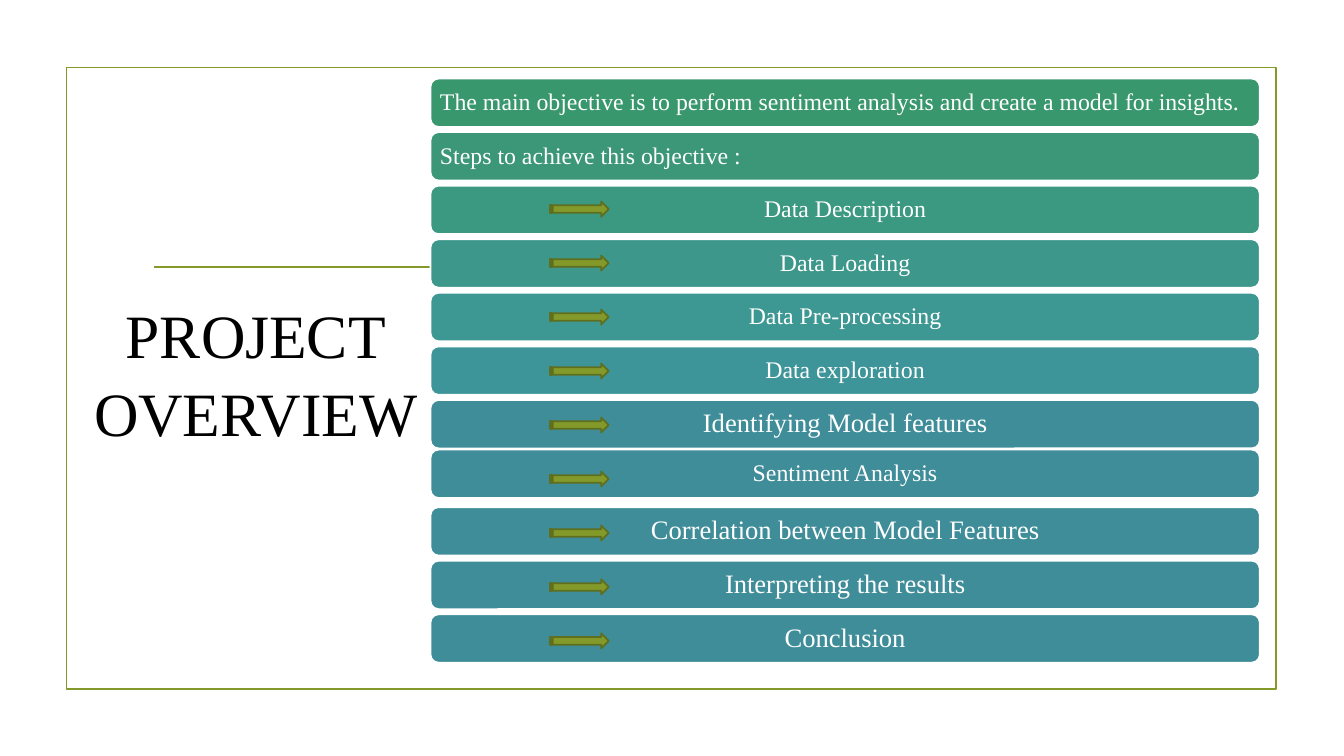
from pptx import Presentation
from pptx.dml.color import RGBColor
from pptx.enum.shapes import MSO_CONNECTOR, MSO_SHAPE
from pptx.enum.text import MSO_ANCHOR, MSO_AUTO_SIZE, PP_ALIGN
from pptx.oxml.ns import qn
from pptx.util import Cm, Pt
from lxml.etree import SubElement

FONT = "Times New Roman"
OLIVE = "83992A"
TEAL = "3F8D99"


def color(value):
    return RGBColor.from_string(value)


def add_outlined(preset, left, top, width, height, fill, line):
    """Add a shadowless shape, lengths in cm; fill None leaves it hollow."""
    shape = slide.shapes.add_shape(preset, Cm(left), Cm(top), Cm(width), Cm(height))
    shape.shadow.inherit = False
    if fill:
        shape.fill.solid()
        shape.fill.fore_color.rgb = color(fill)
    else:
        shape.fill.background()
    shape.line.color.rgb = color(line)
    shape.line.width = Pt(1.25)
    return shape


prs = Presentation()
prs.slide_width, prs.slide_height = Cm(33.87), Cm(19.05)
slide = prs.slides.add_slide(prs.slide_layouts[5])

# Frame and divider
add_outlined(MSO_SHAPE.RECTANGLE, 1.68, 1.7, 30.48, 15.67, None, OLIVE)
divider = slide.shapes.add_connector(
    MSO_CONNECTOR.STRAIGHT, Cm(3.89), Cm(6.73), Cm(30), Cm(6.73))
divider.line.color.rgb = color(OLIVE)
divider.line.width = Pt(1.25)
SubElement(divider._element.spPr, qn("a:effectLst"))

# Title
title = slide.shapes.title
title.left, title.top, title.width, title.height = Cm(1.7), Cm(2.69), Cm(9.5), Cm(13.31)
heading = title.text_frame
heading.text = "PROJECT\nOVERVIEW"
heading.auto_size = MSO_AUTO_SIZE.NONE
heading.word_wrap = True
heading.vertical_anchor = MSO_ANCHOR.MIDDLE
for paragraph in heading.paragraphs:
    paragraph.alignment = PP_ALIGN.CENTER
    paragraph.line_spacing = 1.05
    paragraph.font.name = FONT
    paragraph.font.size = Pt(44)
    paragraph.font.color.rgb = color("000000")

# Bars: text, fill, text size, shift from the even rhythm in cm
LEFT, CENTER = PP_ALIGN.LEFT, PP_ALIGN.CENTER
steps = [
    ("The main objective is to perform sentiment analysis and create a model for insights.",
     "39976D", 17, LEFT, 0),
    ("Steps to achieve this objective :", "3B9777", 17, LEFT, 0),
    ("Data Description", "3B9881", 17, CENTER, 0),
    ("Data Loading", "3D978A", 17, CENTER, 0),
    ("Data Pre-processing", "3D9893", 17, CENTER, 0),
    ("Data exploration", "3E9599", 17, CENTER, 0),
    ("Identifying Model features", TEAL, 19, CENTER, 0),
    ("Sentiment Analysis", TEAL, 17, CENTER, -0.1),
    ("Correlation between Model Features", TEAL, 19, CENTER, 0),
    ("Interpreting the results", TEAL, 19, CENTER, 0),
    ("Conclusion", TEAL, 19, CENTER, 0),
]
for row, (text, fill, size, alignment, shift) in enumerate(steps):
    bar = add_outlined(MSO_SHAPE.ROUNDED_RECTANGLE,
                       10.85, 1.98 + 1.35 * row + shift, 20.9, 1.22, fill, "FFFFFF")
    frame = bar.text_frame
    frame.word_wrap = True
    frame.vertical_anchor = MSO_ANCHOR.MIDDLE
    frame.margin_left = frame.margin_right = Cm(0.18)
    frame.margin_top = frame.margin_bottom = Cm(0.18)
    label = frame.paragraphs[0]
    label.text = text
    label.alignment = alignment
    label.line_spacing = 0.9
    label.font.name = FONT
    label.font.size = Pt(size)
    label.font.color.rgb = color("FFFFFF")

# One arrow for each step below the two opening lines
for row in range(len(steps) - 2):
    add_outlined(MSO_SHAPE.STRIPED_RIGHT_ARROW,
                 13.87, 5.08 + 1.36 * row, 1.47, 0.38, OLIVE, "5F6F1E")

prs.save("out.pptx")
